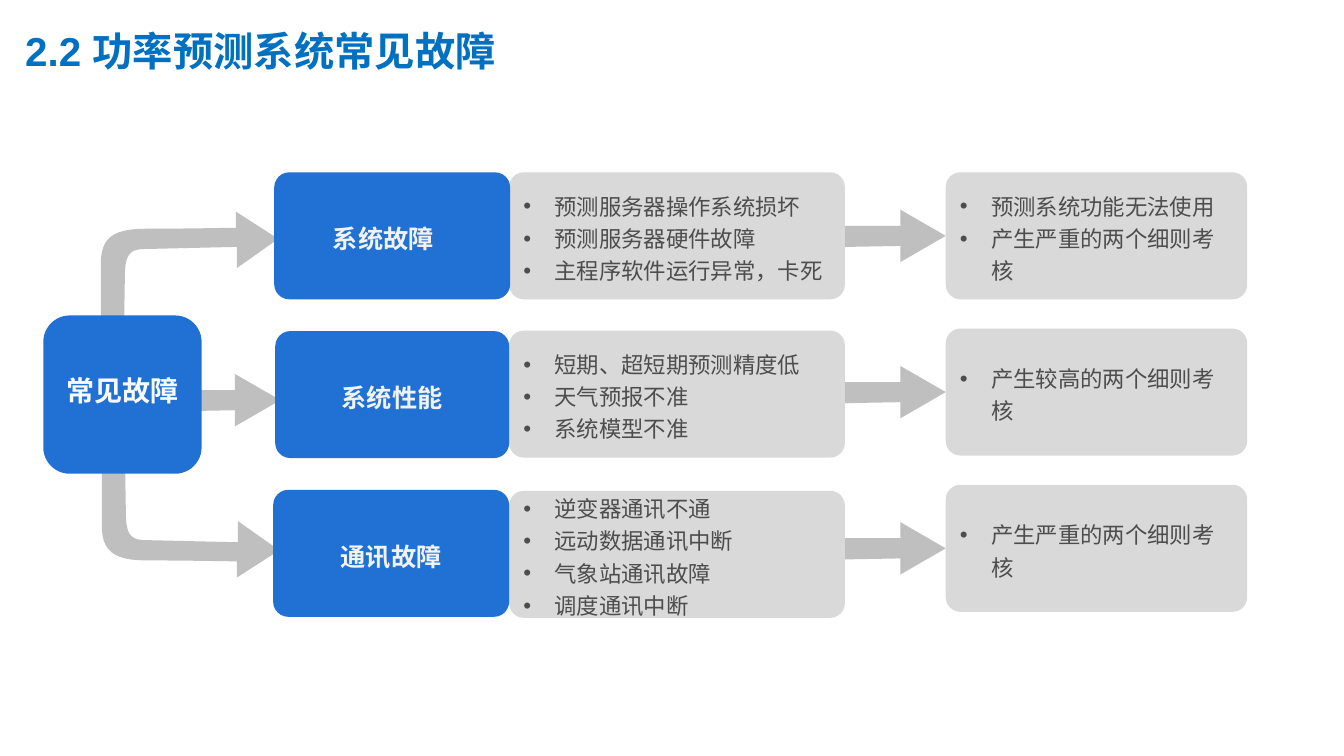
import dataclasses

import pptx
import pptx.dml.color
import pptx.enum.shapes
import pptx.enum.text
import pptx.oxml
import pptx.oxml.ns
import pptx.util
from pptx.util import Inches

ALIGN = pptx.enum.text.PP_ALIGN


@dataclasses.dataclass(frozen=True)
class Theme:
    latin: str = "Arial"
    cjk: str = "Noto Sans CJK SC"
    title_color: str = "0070C0"
    blue: str = "2071D3"
    panel: str = "D9D9D9"
    arrow: str = "BFBFBF"
    body_color: str = "4D4D4D"
    label_color: str = "F2F2F2"
    root_color: str = "F9F9F9"
    title_size: float = 28.8
    root_size: float = 20
    label_size: float = 18
    body_size: float = 16


def rgb(value):
    return pptx.dml.color.RGBColor.from_string(value)


def add_child(parent, tag, **attributes):
    child = pptx.oxml.parse_xml(f"<a:{tag} {pptx.oxml.ns.nsdecls('a')}/>")
    for key, value in attributes.items():
        child.set(key, value)
    parent.append(child)


def write_text(frame, lines, size, color, latin, cjk, bold=False, align=ALIGN.LEFT,
               spacing=1.2, bullet=False, indent=0, insets=(0.1, 0.05, 0.1, 0.05)):
    frame.word_wrap = True
    frame.auto_size = pptx.enum.text.MSO_AUTO_SIZE.NONE
    frame.vertical_anchor = pptx.enum.text.MSO_ANCHOR.MIDDLE
    (frame.margin_left, frame.margin_top,
     frame.margin_right, frame.margin_bottom) = map(Inches, insets)
    for number, line in enumerate(lines):
        paragraph = frame.add_paragraph() if number else frame.paragraphs[0]
        paragraph.alignment = align
        paragraph.line_spacing = spacing
        properties = paragraph._p.get_or_add_pPr()
        if bullet:
            properties.set("marL", str(Inches(0.31)))
            properties.set("indent", str(-Inches(0.31)))
            add_child(properties, "buFont", typeface="Arial")
            add_child(properties, "buChar", char="•")
        elif indent:
            properties.set("marL", str(Inches(indent)))
        run = paragraph.add_run()
        run.text = line
        run.font.size = pptx.util.Pt(size)
        run.font.bold = bold
        run.font.color.rgb = rgb(color)
        run.font.name = latin
        add_child(run._r.get_or_add_rPr(), "ea", typeface=cjk)


def bezier(start, control_1, control_2, end, steps=12):
    """Points along a cubic curve, without its start."""
    points = []
    for step in range(1, steps + 1):
        t = step / steps
        weights = ((1 - t) ** 3, 3 * t * (1 - t) ** 2, 3 * t * t * (1 - t), t ** 3)
        corners = (start, control_1, control_2, end)
        points.append(tuple(sum(w * c[axis] for w, c in zip(weights, corners))
                            for axis in (0, 1)))
    return points


class FaultSlide:
    def __init__(self, presentation, theme):
        self.theme = theme
        self.slide = presentation.slides.add_slide(presentation.slide_layouts[5])

    def paint(self, shape, color):
        shape.fill.solid()
        shape.fill.fore_color.rgb = rgb(color)
        shape.line.fill.background()
        shape.shadow.inherit = False

    def title(self, text):
        heading = self.slide.shapes.title
        heading.left, heading.top = Inches(0.25), Inches(0.24)
        heading.width, heading.height = Inches(12.13), Inches(0.52)
        write_text(heading.text_frame, [text], self.theme.title_size,
                   self.theme.title_color, self.theme.latin, self.theme.cjk,
                   bold=True, spacing=1.0, insets=(0, 0, 0, 0))

    def box(self, place, lines, fill, size, color, radius=0.115, **text_format):
        card = self.slide.shapes.add_shape(
            pptx.enum.shapes.MSO_SHAPE.ROUNDED_RECTANGLE, *map(Inches, place))
        card.adjustments[0] = radius
        self.paint(card, fill)
        write_text(card.text_frame, lines, size, color,
                   self.theme.cjk, self.theme.cjk, **text_format)

    def panel(self, place, lines):
        self.box(place, lines, self.theme.panel, self.theme.body_size,
                 self.theme.body_color, bullet=True)

    def label(self, place, text, **text_format):
        self.box(place, [text], self.theme.blue, self.theme.label_size,
                 self.theme.label_color, radius=0.119, bold=True, **text_format)

    def outline(self, points):
        corners = [(Inches(x), Inches(y)) for x, y in points]
        builder = self.slide.shapes.build_freeform(*corners[0], scale=1.0)
        builder.add_line_segments(corners[1:], close=True)
        self.paint(builder.convert_to_shape(), self.theme.arrow)

    def straight_arrow(self, tip_x, tip_y):
        offsets = [(-2.09, 0.13), (-0.45, 0.1), (-0.45, 0.26), (0, 0),
                   (-0.45, -0.26), (-0.45, -0.1), (-2.09, -0.1)]
        self.outline([(tip_x + dx, tip_y + dy) for dx, dy in offsets])

    def bent_arrow(self, place_point):
        points = [(1.22, 3.92), (1.24, 2.69)]
        points += bezier(points[-1], (1.25, 2.47), (1.34, 2.47), (1.49, 2.47))
        points += [(2.35, 2.45), (2.35, 2.66), (2.76, 2.37), (2.34, 2.1), (2.34, 2.26)]
        points += bezier(points[-1], (2.34, 2.26), (1.76, 2.27), (1.44, 2.27))
        points += bezier(points[-1], (1.11, 2.27), (1, 2.37), (1, 2.62))
        points += [(1, 3.94)]
        points += bezier(points[-1], (1.03, 4.15), (1.17, 4.13), (1.22, 3.92))
        self.outline([place_point(x, y) for x, y in points])


# Each row: label, label left and width, label format, causes, causes top, effects
FAULTS = [
    ("系统故障", 2.72, 2.34, {"indent": 0.44},
     ["预测服务器操作系统损坏", "预测服务器硬件故障", "主程序软件运行异常，卡死"],
     1.71, ["预测系统功能无法使用", "产生严重的两个细则考核"]),
    ("系统性能", 2.73, 2.32, {"align": ALIGN.CENTER},
     ["短期、超短期预测精度低", "天气预报不准", "系统模型不准"],
     3.28, ["产生较高的两个细则考核"]),
    ("通讯故障", 2.71, 2.34, {"align": ALIGN.CENTER},
     ["逆变器通讯不通", "远动数据通讯中断", "气象站通讯故障", "调度通讯中断"],
     4.87, ["产生严重的两个细则考核"]),
]
EFFECT_PITCH = 1.55
BOX_HEIGHT = 1.26


def main():
    presentation = pptx.Presentation()
    presentation.slide_width, presentation.slide_height = Inches(13.33), Inches(7.5)
    theme = Theme()
    page = FaultSlide(presentation, theme)
    page.title("2.2 功率预测系统常见故障")

    # Arrows lie behind the boxes; the lower bend mirrors the upper one
    for row in range(len(FAULTS)):
        page.straight_arrow(9.38, 2.34 + row * EFFECT_PITCH)
    page.straight_arrow(2.78, 3.97)
    page.bent_arrow(lambda x, y: (x, y))
    page.bent_arrow(lambda x, y: (x + 0.01, 7.83 - y))

    # Fault types with their causes and effects
    for row, (name, left, width, label_format, causes, top, effects) in enumerate(FAULTS):
        page.panel((5.05, top, 3.33, BOX_HEIGHT), causes)
        page.label((left, 1.71 + row * 1.575, width, BOX_HEIGHT), name, **label_format)
        page.panel((9.38, 1.71 + row * EFFECT_PITCH, 2.99, BOX_HEIGHT), effects)

    # Root of the tree
    page.box((0.43, 3.13, 1.57, 1.57), ["常见故障"], theme.blue, theme.root_size,
             theme.root_color, radius=0.167, bold=True, align=ALIGN.CENTER,
             insets=(0.14, 0.05, 0.14, 0.2))
    presentation.save("out.pptx")


if __name__ == "__main__":
    main()
